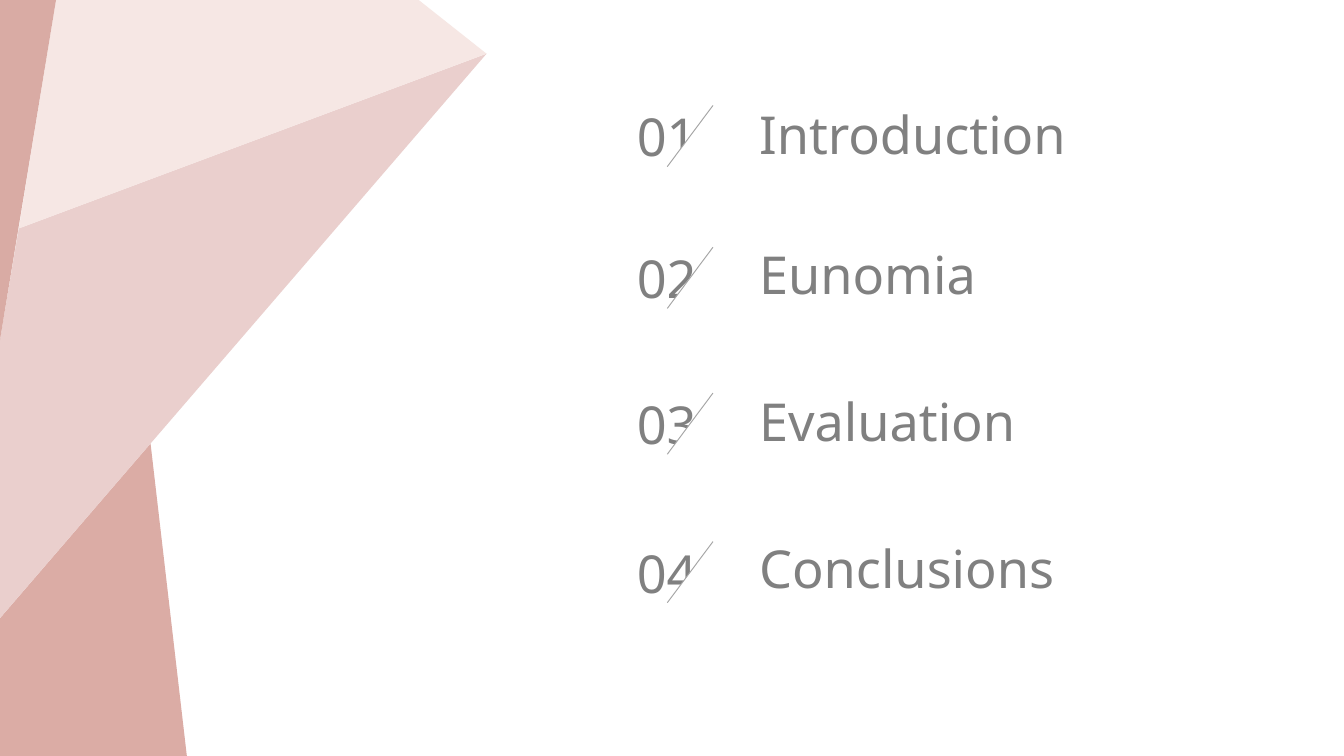
"""Build an agenda slide with four numbered sections beside a faceted pink decoration."""
from lxml import etree
from pptx import Presentation
from pptx.dml.color import RGBColor
from pptx.enum.shapes import MSO_CONNECTOR, MSO_SHAPE
from pptx.enum.text import MSO_AUTO_SIZE
from pptx.oxml.ns import qn
from pptx.util import Pt

PX = 4572
STRAIGHT = MSO_CONNECTOR.STRAIGHT
RIGHT_TRIANGLE = MSO_SHAPE.RIGHT_TRIANGLE
FIT_SHAPE = MSO_AUTO_SIZE.SHAPE_TO_FIT_TEXT

WHITE = RGBColor(0xFF, 0xFF, 0xFF)
GRAY = RGBColor(0x80, 0x80, 0x80)
LINE_GRAY = RGBColor(0xA5, 0xA5, 0xA5)
ROSE = RGBColor(0xDB, 0xAC, 0xA5)
PINK = RGBColor(0xEA, 0xCF, 0xCD)
PALE = RGBColor(0xF6, 0xE7, 0xE4)
DUSK = RGBColor(0xD9, 0xAB, 0xA4)


def add_text(shapes, text, x, y, w, h=114, size=28, color=GRAY, font="Noto Sans"):
    sp = shapes.add_textbox(x * PX, y * PX, w * PX, h * PX)
    tf = sp.text_frame
    tf.word_wrap = False
    tf.auto_size = FIT_SHAPE
    r = tf.paragraphs[0].add_run()
    r.text = text
    r.font.size = Pt(size)
    r.font.name = font
    r.font.color.rgb = color


prs = Presentation()
prs.slide_width = 2000 * PX
prs.slide_height = 1125 * PX
s = prs.slides.add_slide(prs.slide_layouts[6])
s.background.fill.solid()
s.background.fill.fore_color.rgb = WHITE

facets = [
    (ROSE, [(224, 660), (278, 1125), (0, 1125), (0, 920)]),
    (PINK, [(724, 80), (28, 340), (0, 506), (0, 920)]),
    (PALE, [(724, 80), (618, -4), (84, -4), (28, 340)]),
    (DUSK, [(84, -4), (0, -4), (0, 506)]),
]
decoration = s.shapes.add_group_shape()
for color, points in facets:
    builder = decoration.shapes.build_freeform(*points[0], scale=PX)
    builder.add_line_segments(points[1:], close=True)
    sp = builder.convert_to_shape()
    sp.shadow.inherit = False
    sp.fill.solid()
    sp.fill.fore_color.rgb = color
    sp.line.fill.background()

sections = [
    ("Introduction", 157, 143, 506),
    ("Eunomia", 368, 351, 368),
    ("Evaluation", 585, 569, 428),
    ("Conclusions", 806, 788, 492),
]
for number, (title, top, title_top, width) in enumerate(sections, 1):
    row = s.shapes.add_group_shape()
    add_text(row.shapes, f"{number:02d}", 928, top - 11, 130)
    add_text(row.shapes, title, 1110, title_top, width)

    mask = row.shapes.add_shape(RIGHT_TRIANGLE, 982 * PX, (top + 12) * PX, 90 * PX, 68 * PX)
    mask.rotation = 270
    mask.shadow.inherit = False
    mask.fill.solid()
    mask.fill.fore_color.rgb = WHITE
    mask.line.fill.background()

    slash = row.shapes.add_connector(STRAIGHT, 1061 * PX, top * PX, 993 * PX, (top + 91) * PX)
    slash.line.color.rgb = LINE_GRAY
    slash.line.width = Pt(0.5)
    etree.SubElement(slash._element.spPr, qn("a:effectLst"))

prs.save("out.pptx")
